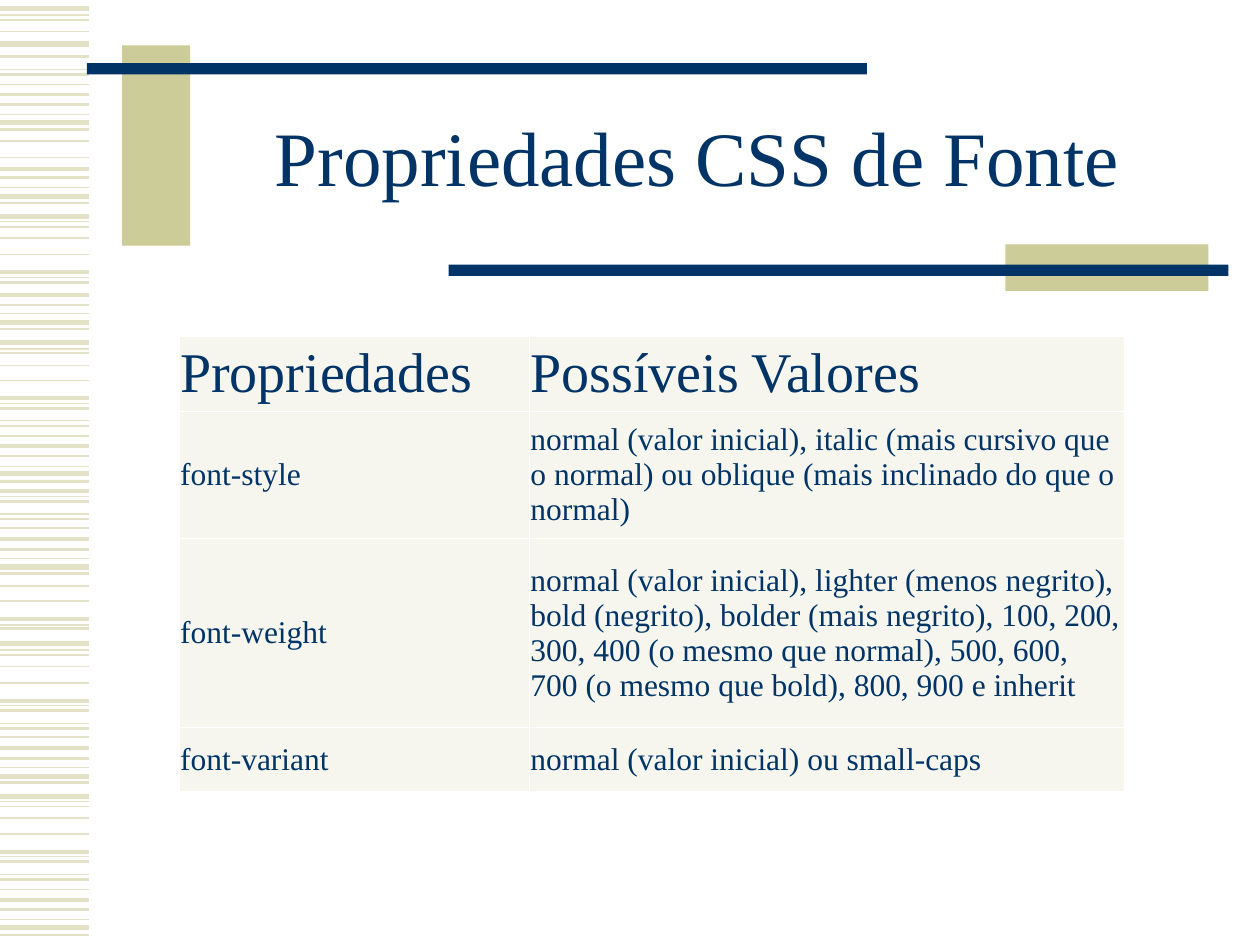
from lxml.etree import SubElement
from pptx import Presentation
from pptx.dml.color import RGBColor
from pptx.enum.shapes import MSO_CONNECTOR, MSO_SHAPE
from pptx.enum.text import MSO_ANCHOR as Anchor, MSO_AUTO_SIZE as Fit, PP_ALIGN as Align
from pptx.oxml.ns import qn
from pptx.util import Inches, Pt

FONT = "Times New Roman"
COLORS = {"navy": "003366", "olive": "CCCC99", "stripe": "E3E2C7",
          "cell": "F6F6EF", "border": "FFFFFF"}

TITLE = "Propriedades CSS de Fonte"
ROWS = [
    ("Propriedades", "Possíveis Valores"),
    ("font-style", "normal (valor inicial), italic (mais cursivo que o normal) "
                   "ou oblique (mais inclinado do que o normal)"),
    ("font-weight", "normal (valor inicial), lighter (menos negrito), bold (negrito), "
                    "bolder (mais negrito), 100, 200, 300, 400 (o mesmo que normal), "
                    "500, 600, 700 (o mesmo que bold), 800, 900 e inherit"),
    ("font-variant", "normal (valor inicial) ou small-caps"),
]
WIDTHS = [2.78, 4.72]
HEIGHTS = [0.54, 1.01, 1.5, 0.51]

# Line weight in points: heights of the stripes down the left edge
STRIPES = {
    0.75: [0.12, 0.55, 0.91, 1.49, 1.76, 2.2, 2.49, 2.77, 3.2, 3.34, 3.7, 3.94,
           4.08, 4.43, 4.96, 5.16, 5.6, 5.74, 6.09, 6.36, 6.8, 6.94, 7.3],
    1: [0.16, 0.25, 0.67, 1.12, 1.25, 1.8, 1.89, 2.02, 2.8, 2.9, 3.02, 3.46,
        4.19, 4.65, 4.77, 5.2, 5.29, 5.42, 5.85, 6.4, 6.49, 6.62, 7.06],
    1.5: [0.45, 0.59, 0.83, 1.03, 1.41, 1.61, 2.24, 2.42, 2.61, 3.24, 3.38,
          3.62, 3.82, 3.98, 4.12, 4.36, 4.55, 4.99, 5.64, 5.78, 6.02, 6.21,
          6.84, 6.98, 7.22, 7.42],
    2.25: [0.75, 1.34, 2.16, 2.34, 3.16, 3.54, 3.9, 4.28, 4.91, 5.56, 5.94,
           6.76, 7.14],
    3: [0.07, 0.35, 0.97, 1.56, 1.72, 2.56, 2.72, 3.76, 4.5, 5.11, 6.16, 6.32,
        7.36],
}
BARS = [
    ("olive", 0.97, 0.36, 0.54, 1.59),
    ("navy", 0.69, 0.5, 6.19, 0.09),
    ("olive", 7.98, 1.94, 1.61, 0.37),
    ("navy", 3.56, 2.1, 6.19, 0.09),
]


def color(name):
    return RGBColor.from_string(COLORS[name])


def write(frame, text, size):
    para = frame.paragraphs[0]
    run = para.add_run()
    run.text = text
    run.font.name = FONT
    run.font.size = Pt(size)
    run.font.color.rgb = color("navy")
    return para


def add_stripes(shapes):
    group = shapes.add_group_shape()
    for weight, tops in STRIPES.items():
        for top in tops:
            y = Inches(top)
            line = group.shapes.add_connector(
                MSO_CONNECTOR.STRAIGHT, 0, y, Inches(0.71), y)
            line.line.color.rgb = color("stripe")
            line.line.width = Pt(weight)
            SubElement(line._element.spPr, qn("a:effectLst"))


def add_bars(shapes):
    for name, *box in BARS:
        bar = shapes.add_shape(MSO_SHAPE.RECTANGLE, *map(Inches, box))
        bar.shadow.inherit = False
        bar.fill.solid()
        bar.fill.fore_color.rgb = color(name)
        bar.line.fill.background()


def set_title(shapes):
    title = shapes.title
    shapes._spTree.append(title._element)  # in front of the bars
    title.left, title.top, title.width, title.height = map(
        Inches, (1.5, 0.67, 8.07, 1.25))
    frame = title.text_frame
    frame.word_wrap = True
    frame.auto_size = Fit.NONE
    frame.vertical_anchor = Anchor.MIDDLE
    para = write(frame, TITLE, 44)
    para.alignment = Align.CENTER
    para.line_spacing = 0.85


def set_borders(cell):
    """Draw the four edges; they must come before the fill in the cell's XML."""
    props = cell._tc.get_or_add_tcPr()
    for side in ("lnL", "lnR", "lnT", "lnB"):
        edge = SubElement(props, qn("a:" + side), w=str(Pt(0.45)))
        fill = SubElement(edge, qn("a:solidFill"))
        SubElement(fill, qn("a:srgbClr"), val=COLORS["border"])


def add_grid(shapes):
    table = shapes.add_table(
        len(ROWS), len(WIDTHS), Inches(1.42), Inches(2.67),
        Inches(sum(WIDTHS)), Inches(sum(HEIGHTS))).table
    table.first_row = table.horz_banding = False
    for col, width in zip(table.columns, WIDTHS):
        col.width = Inches(width)
    for i, (row, height) in enumerate(zip(table.rows, HEIGHTS)):
        row.height = Inches(height)
        for j, (cell, text) in enumerate(zip(row.cells, ROWS[i])):
            set_borders(cell)
            cell.fill.solid()
            cell.fill.fore_color.rgb = color("cell")
            cell.margin_left = cell.margin_right = Inches(0.01)
            cell.margin_top = cell.margin_bottom = Inches(0.05)
            cell.vertical_anchor = Anchor.BOTTOM if i == j == 0 else Anchor.MIDDLE
            write(cell.text_frame, text, 18 if i else 32)


def main():
    deck = Presentation()
    deck.slide_width, deck.slide_height = Inches(10), Inches(7.5)
    shapes = deck.slides.add_slide(deck.slide_layouts[5]).shapes
    add_stripes(shapes)
    add_bars(shapes)
    set_title(shapes)
    add_grid(shapes)
    deck.save("out.pptx")


if __name__ == "__main__":
    main()
